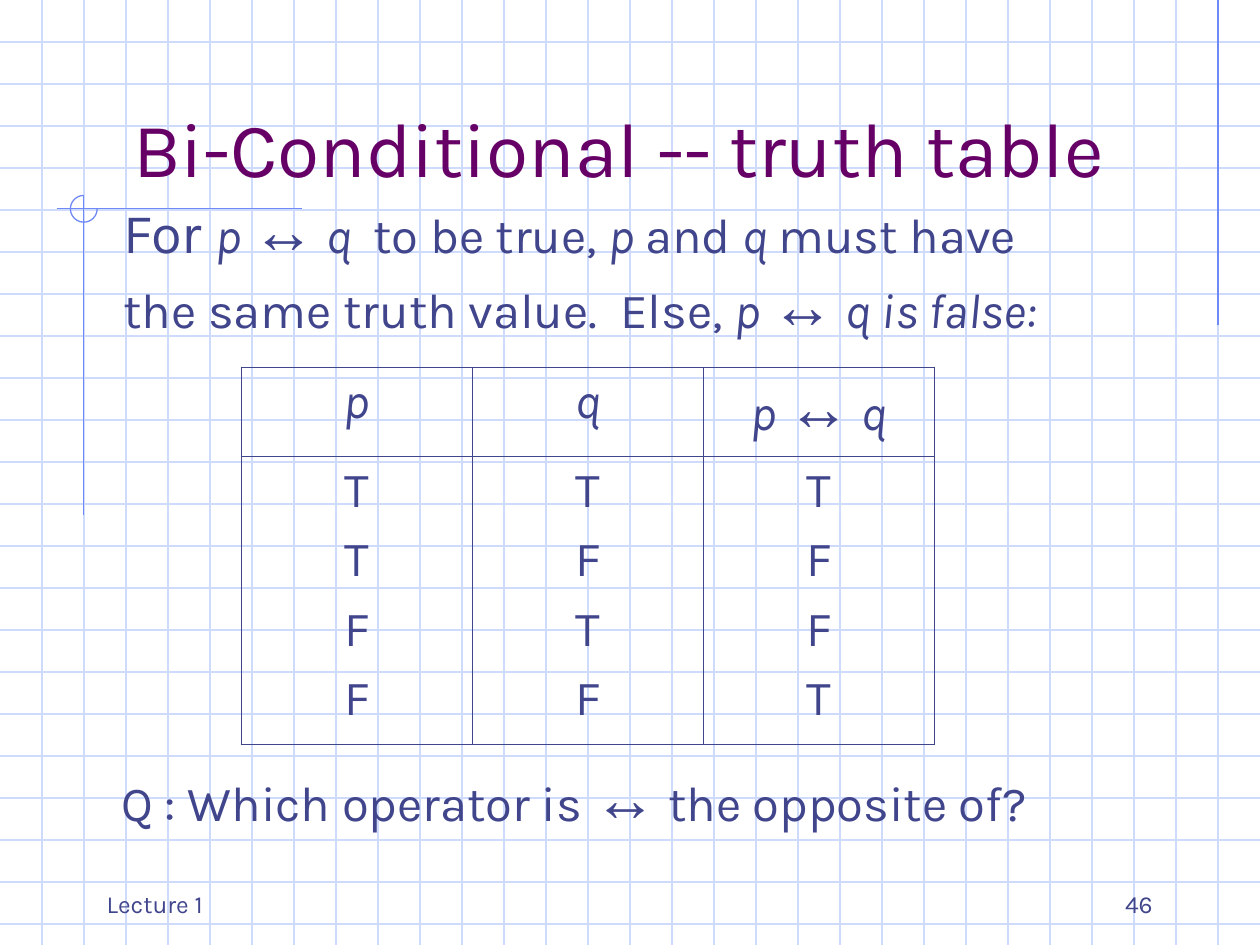
from lxml import etree
from pptx import Presentation
from pptx import util as u
from pptx.dml.color import RGBColor
from pptx.enum import shapes, text
from pptx.oxml.ns import qn

COLORS = {"grid": "CFDBFD", "accent": "6F89F7", "title": "660066", "ink": "40458C"}
WIDTH, HEIGHT, SPACING = 25.4, 19.05, 2.54 / 3
COLUMNS = [("*p*", "TTFF"), ("*q*", "TFTF"), ("*p *↔ *q*", "TFFT")]


def write(paragraph, words, size=28, color="ink", align=None, before=0):
    """Append words as runs: asterisks switch italics, arrows are larger Arial."""
    paragraph.alignment = align
    paragraph.space_before = u.Pt(before)
    for index, stretch in enumerate(words.split("*")):
        for piece in filter(None, stretch.replace("↔", "|↔|").split("|")):
            run = paragraph.add_run()
            run.text = piece
            run.font.name = "Arial" if piece == "↔" else "Karla"
            run.font.size = u.Pt(36 if piece == "↔" else size)
            run.font.italic = index % 2 == 1
            run.font.color.rgb = RGBColor.from_string(COLORS[color])


def rule(slide, x1, y1, x2, y2, color):
    """Draw a thin straight line without a shadow."""
    line = slide.shapes.add_connector(
        shapes.MSO_CONNECTOR.STRAIGHT, u.Cm(x1), u.Cm(y1), u.Cm(x2), u.Cm(y2))
    line.line.color.rgb = RGBColor.from_string(COLORS[color])
    line.line.width = u.Pt(0.75)
    etree.SubElement(line.element.spPr, qn("a:effectLst"))


def text_frame(slide, left, top, width, height, anchor=text.MSO_ANCHOR.TOP):
    """Add a wrapping text box and return its frame."""
    frame = slide.shapes.add_textbox(
        u.Cm(left), u.Cm(top), u.Cm(width), u.Cm(height)).text_frame
    frame.word_wrap = True
    frame.vertical_anchor = anchor
    return frame


def draw_grid(slide, width, height):
    """Cover the given area with squared-paper lines."""
    for row in range(1, int(height / SPACING) + 1):
        rule(slide, 0, row * SPACING, width, row * SPACING, "grid")
    for column in range(1, round(width / SPACING)):
        rule(slide, column * SPACING, 0, column * SPACING, height, "grid")


def draw_ornament(slide, x, y, radius):
    """Draw the crossing lines and open circle around a centre, and the right margin line."""
    rule(slide, WIDTH - SPACING, 0, WIDTH - SPACING, 6.55, "accent")
    rule(slide, x - 0.55, y, x + 4.4, y, "accent")
    rule(slide, x, y - radius, x, y + 6.17, "accent")
    circle = slide.shapes.add_shape(
        shapes.MSO_SHAPE.ARC, u.Cm(x - radius), u.Cm(y - radius),
        u.Cm(2 * radius), u.Cm(2 * radius))
    circle.adjustments[0] = 0
    circle.adjustments[1] = 162
    circle.shadow.inherit = False
    circle.fill.background()
    circle.line.color.rgb = RGBColor.from_string(COLORS["accent"])
    circle.line.width = u.Pt(0.75)


def place_title(slide, left, top, width, height):
    """Place the title in its box, in front of the grid."""
    title = slide.shapes.title
    title.left, title.top = u.Cm(left), u.Cm(top)
    title.width, title.height = u.Cm(width), u.Cm(height)
    frame = title.text_frame
    frame.auto_size = text.MSO_AUTO_SIZE.NONE
    frame.word_wrap = True
    frame.vertical_anchor = text.MSO_ANCHOR.BOTTOM
    write(frame.paragraphs[0], "Bi-Conditional -- truth table", size=44,
          color="title", align=text.PP_ALIGN.CENTER)
    title.element.getparent().append(title.element)


def place_statement(slide, left, top, width, height):
    """State when the bi-conditional is true."""
    frame = text_frame(slide, left, top, width, height)
    condition = frame.paragraphs[0]
    write(condition, "For ", size=32)
    write(condition, "*p *↔ *q  *to be true, *p *and *q *must have")
    write(frame.add_paragraph(), "the same truth value.  Else, *p *↔ *q is false:*")


def border_cell(cell, widths):
    """Set left, right, top and bottom border widths in points and clear the fill."""
    properties = cell._tc.get_or_add_tcPr()
    for side, width in zip("LRTB", widths):
        border = etree.SubElement(properties, qn(f"a:ln{side}"), w=str(u.Pt(width)))
        fill = etree.SubElement(border, qn("a:solidFill"))
        etree.SubElement(fill, qn("a:srgbClr"), val=COLORS["ink"])
    cell.fill.background()


def place_truth_table(slide, left, top, width, header, body):
    """Build the truth table with one header row and one row of stacked values."""
    table = slide.shapes.add_table(
        2, len(COLUMNS), u.Cm(left), u.Cm(top), u.Cm(width), u.Cm(header + body)).table
    table.first_row = table.horz_banding = False
    table.rows[0].height, table.rows[1].height = u.Cm(header), u.Cm(body)
    outer, inner, last = 1.08, 0.45, len(COLUMNS) - 1
    for column, (heading, values) in enumerate(COLUMNS):
        table.columns[column].width = u.Cm(width / len(COLUMNS))
        for row, lines in enumerate(([heading], values)):
            cell = table.cell(row, column)
            border_cell(cell, (outer if column == 0 else inner,
                               outer if column == last else inner,
                               outer if row == 0 else inner,
                               outer if row == 1 else inner))
            frame = cell.text_frame
            for index, line in enumerate(lines):
                paragraph = frame.add_paragraph() if index else frame.paragraphs[0]
                write(paragraph, line, align=text.PP_ALIGN.CENTER, before=7)


def place_question(slide, left, top, width, height):
    """Ask the closing question."""
    frame = text_frame(slide, left, top, width, height)
    write(frame.paragraphs[0], "Q : Which operator is ↔ the opposite of?")


def place_footer(slide, left, top, width, height):
    """Put the lecture name and page number at both ends of the footer."""
    part = 5.29
    for x, words, align in ((left, "Lecture 1", text.PP_ALIGN.LEFT),
                            (left + width - part, "46", text.PP_ALIGN.RIGHT)):
        frame = text_frame(slide, x, top, part, height, text.MSO_ANCHOR.BOTTOM)
        write(frame.paragraphs[0], words, size=14, align=align)


def main():
    """Build the slide and save it."""
    deck = Presentation()
    deck.slide_width, deck.slide_height = u.Cm(WIDTH), u.Cm(HEIGHT)
    slide = deck.slides.add_slide(deck.slide_layouts[5])
    draw_grid(slide, WIDTH, HEIGHT)
    draw_ornament(slide, 1.69, 4.21, 0.27)
    place_title(slide, 1.69, 0.85, 21.59, 3.17)
    place_truth_table(slide, 4.87, 7.41, 13.97, 1.78, 5.82)
    place_statement(slide, 2.24, 3.71, 19.96, 3.3)
    place_question(slide, 2.2, 15.16, 19.48, 1.78)
    place_footer(slide, 1.9, 17.36, 21.59, 1.27)
    deck.save("out.pptx")


if __name__ == "__main__":
    main()
